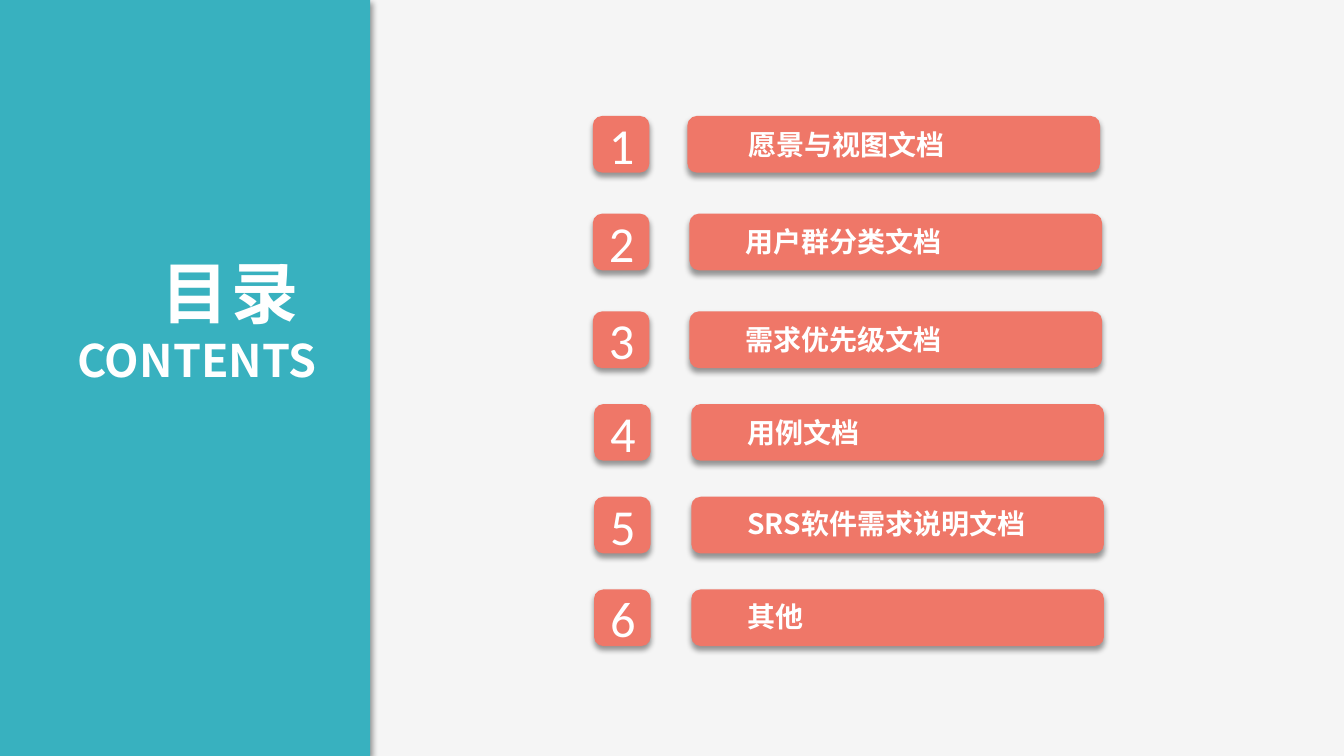
from lxml import etree
from pptx import Presentation
from pptx.dml.color import RGBColor
from pptx.enum.shapes import MSO_SHAPE
from pptx.enum.text import MSO_ANCHOR, MSO_AUTO_SIZE, PP_ALIGN
from pptx.oxml.ns import qn
from pptx.util import Pt

RECTANGLE, ROUNDED = MSO_SHAPE.RECTANGLE, MSO_SHAPE.ROUNDED_RECTANGLE
TOP, MIDDLE = MSO_ANCHOR.TOP, MSO_ANCHOR.MIDDLE
LEFT, CENTER, RIGHT = PP_ALIGN.LEFT, PP_ALIGN.CENTER, PP_ALIGN.RIGHT
GROW, FIXED = MSO_AUTO_SIZE.SHAPE_TO_FIT_TEXT, MSO_AUTO_SIZE.NONE

COLORS = {"background": "F5F5F5", "panel": "38B1BF", "item": "EF7768",
          "text": "FFFFFF", "shadow": "000000"}
CHINESE_FONT, NUMBER_FONT = "Noto Sans CJK SC", "Calibri"

# text, size, letter spacing
HEADING = [("目录 ", 48, 2), ("CONTENTS", 32, 0)]
# label, number left, bar left, label left, label drop below the bar's top, label width
ITEMS = [
    ("愿景与视图文档", 423.4, 491, 525, 3.6, 209),
    ("用户群分类文档", 423.4, 492.5, 522.7, 2.9, 215),
    ("需求优先级文档", 423.4, 492.5, 522.7, 2.9, 215),
    ("用例文档", 424.3, 493.8, 524.2, 3.4, 215),
    ("SRS软件需求说明文档", 424.3, 493.8, 524.2, 2.2, 234),
    ("其他", 424.3, 493.8, 524.2, 2.2, 234),
]
FIRST_TOP, UPPER_STEP, LOWER_STEP = 82.8, 69.8, 66.2
UPPER_STEPS = 2
ITEM_HEIGHT, BAR_WIDTH, LABEL_HEIGHT = 40.5, 294.8, 33.8


def color(name):
    return RGBColor.from_string(COLORS[name])


def add_block(shapes, kind, left, top, width, height, fill, direction):
    """Add a filled shape with a soft shadow cast at the given angle."""
    block = shapes.add_shape(kind, Pt(left), Pt(top), Pt(width), Pt(height))
    block.fill.solid()
    block.fill.fore_color.rgb = color(fill)
    block.line.fill.background()
    block.shadow.inherit = False
    effects = block.element.spPr.find(qn("a:effectLst"))
    shadow = etree.SubElement(effects, qn("a:outerShdw"), blurRad=str(Pt(4)),
                              dist=str(Pt(3)), dir=str(direction * 60000),
                              algn="ctr", rotWithShape="0")
    tint = etree.SubElement(shadow, qn("a:srgbClr"), val=COLORS["shadow"])
    etree.SubElement(tint, qn("a:alpha"), val="40000")
    return block


def set_frame(box, anchor, auto_size):
    frame = box.text_frame
    frame.word_wrap = True
    frame.auto_size = auto_size
    frame.vertical_anchor = anchor
    frame.margin_left = frame.margin_right = Pt(9.6)
    frame.margin_top = frame.margin_bottom = Pt(4.8)
    return frame


def style(para, font_name, size, align, bold=False, spacing=0):
    para.alignment = align
    font = para.font
    font.name, font.size, font.bold = font_name, Pt(size), bold
    font.color.rgb = color("text")
    properties = para._p.pPr.find(qn("a:defRPr"))
    properties.set("spc", str(spacing * 100))
    latin = properties.find(qn("a:latin"))
    latin.addnext(etree.Element(qn("a:ea"), typeface=font_name))


def add_item(slide, number, top, item):
    label, number_left, bar_left, label_left, drop, label_width = item
    badge = add_block(slide.shapes, ROUNDED, number_left, top,
                      ITEM_HEIGHT, ITEM_HEIGHT, "item", 90)
    frame = set_frame(badge, MIDDLE, FIXED)
    frame.text = str(number)
    style(frame.paragraphs[0], NUMBER_FONT, 36, CENTER)

    group = slide.shapes.add_group_shape()
    add_block(group.shapes, ROUNDED, bar_left, top, BAR_WIDTH, ITEM_HEIGHT, "item", 90)
    box = group.shapes.add_textbox(Pt(label_left), Pt(top + drop),
                                   Pt(label_width), Pt(LABEL_HEIGHT))
    frame = set_frame(box, TOP, GROW)
    frame.text = label
    style(frame.paragraphs[0], CHINESE_FONT, 20, LEFT, bold=True)


def add_heading(slide):
    title = slide.shapes.title
    title.left, title.top, title.width, title.height = Pt(15), Pt(175), Pt(221), Pt(106.5)
    frame = set_frame(title, TOP, GROW)
    frame.text = "\n".join(text for text, _, _ in HEADING)
    for para, (_, size, spacing) in zip(frame.paragraphs, HEADING):
        style(para, CHINESE_FONT, size, RIGHT, bold=True, spacing=spacing)
    panel = add_block(slide.shapes, RECTANGLE, -8.6, 0, 273, 540, "panel", 45)
    title.element.addprevious(panel.element)


def main():
    deck = Presentation()
    deck.slide_width, deck.slide_height = Pt(960), Pt(540)
    slide = deck.slides.add_slide(deck.slide_layouts[5])
    slide.background.fill.solid()
    slide.background.fill.fore_color.rgb = color("background")
    add_heading(slide)
    for index, item in enumerate(ITEMS):
        upper = min(index, UPPER_STEPS)
        top = FIRST_TOP + upper * UPPER_STEP + (index - upper) * LOWER_STEP
        add_item(slide, index + 1, top, item)
    deck.save("out.pptx")


if __name__ == "__main__":
    main()
